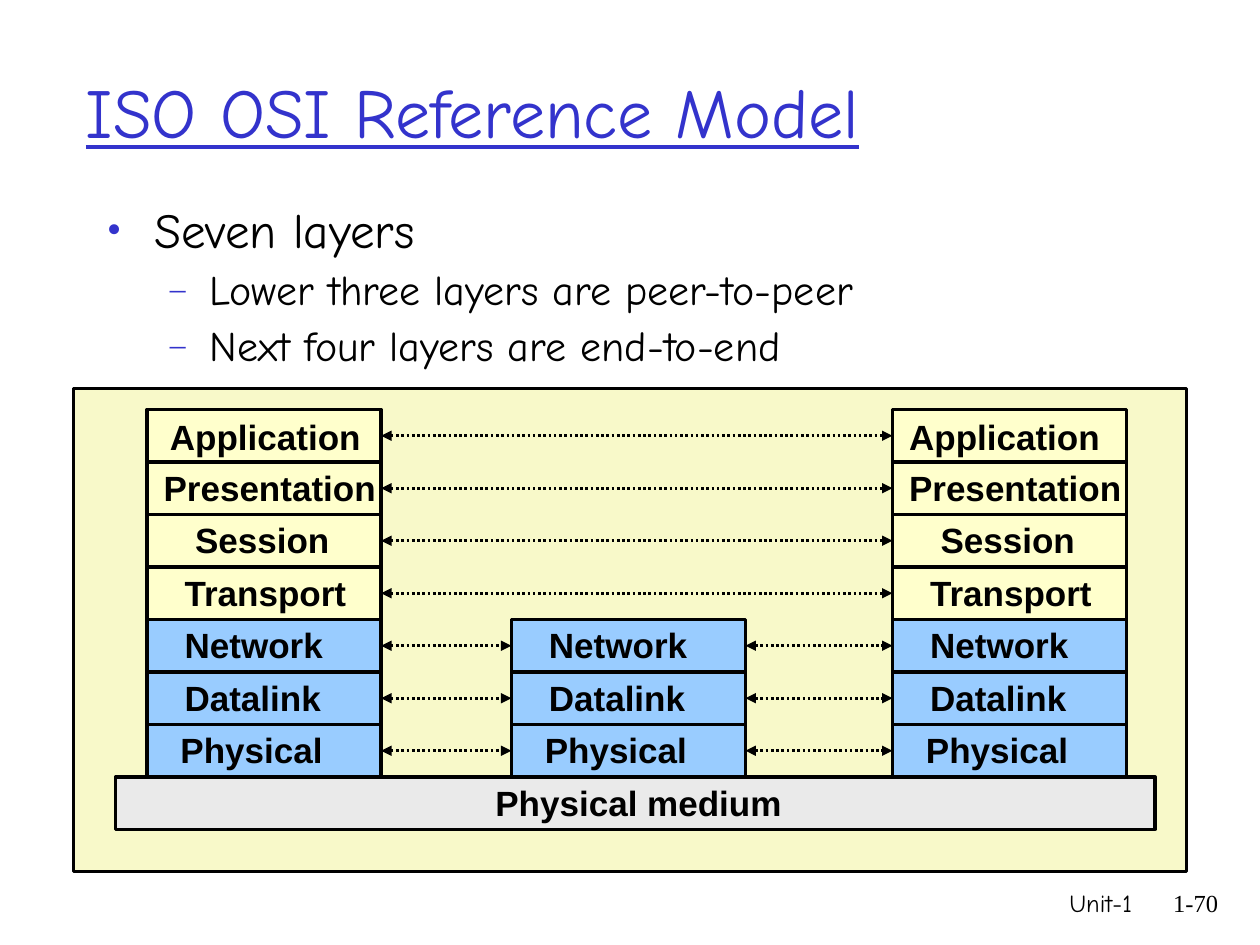
"""Builds a slide on the seven layers of the ISO OSI reference model."""
from dataclasses import dataclass

from lxml.etree import SubElement
from pptx import Presentation
from pptx.dml.color import RGBColor as Rgb
from pptx.enum.dml import MSO_LINE as Dash
from pptx.enum.shapes import MSO_CONNECTOR as Connector, MSO_SHAPE as Shape
from pptx.enum.text import MSO_ANCHOR as Anchor, MSO_AUTO_SIZE as Fit, PP_ALIGN as Align
from pptx.oxml.ns import qn
from pptx.util import Pt


@dataclass(frozen=True)
class Theme:
    ink: str = "000000"
    accent: str = "3333CC"
    panel: str = "F8F9C9"
    upper: str = "FFFFCC"
    lower: str = "99CCFF"
    medium: str = "EAEAEA"
    hand: str = "Comic Neue"
    sans: str = "Arial"
    serif: str = "Times New Roman"
    title: int = 40
    point: int = 28
    subpoint: int = 24
    label: int = 20
    footer: int = 14


theme = Theme()
PX = 7620
SIDE_LEFT, SIDE_RIGHT = 1, 3

prs = Presentation()
prs.slide_width, prs.slide_height = 1200 * PX, 900 * PX
slide = prs.slides.add_slide(prs.slide_layouts[6])
shapes = slide.shapes


def add_block(left, top, width, height, color):
    block = shapes.add_shape(Shape.RECTANGLE, left * PX, top * PX, width * PX, height * PX)
    block.shadow.inherit = False
    block.fill.solid()
    block.fill.fore_color.rgb = Rgb.from_string(color)
    block.line.color.rgb = Rgb.from_string(theme.ink)
    block.line.width = Pt(2)
    return block


def add_text(text, left, top, width, height, font, size, color=theme.ink, wrap=True):
    box = shapes.add_textbox(left * PX, top * PX, width * PX, height * PX)
    frame = box.text_frame
    frame.text = text
    frame.word_wrap = wrap
    frame.auto_size = Fit.NONE if wrap else Fit.SHAPE_TO_FIT_TEXT
    for paragraph in frame.paragraphs:
        for run in paragraph.runs:
            run.font.name = font
            run.font.size = Pt(size)
            run.font.bold = font == theme.sans
            run.font.color.rgb = Rgb.from_string(color)
    return frame


add_block(70, 370, 1060, 460, theme.panel)

title = add_text("ISO OSI Reference Model", 70, 30, 1020, 150, theme.hand, theme.title, theme.accent)
title.vertical_anchor = Anchor.MIDDLE
title.paragraphs[0].runs[0].font.underline = True

points = [
    ("Seven layers", 0, "•", 85, 45, 45, theme.point),
    ("Lower three layers are peer-to-peer", 1, "–", 75, 98, 38, theme.subpoint),
    ("Next four layers are end-to-end", 1, "–", 75, 98, 38, theme.subpoint),
]
outline = add_text("\n".join(point[0] for point in points), 90, 190, 1020, 190, theme.hand, theme.point)
for paragraph, (_, level, mark, percent, indent, hang, size) in zip(outline.paragraphs, points):
    props = paragraph._p.get_or_add_pPr()
    props.set("marL", str(indent * PX))
    props.set("indent", str(-hang * PX))
    mark_color = SubElement(props, qn("a:buClr"))
    SubElement(mark_color, qn("a:srgbClr"), val=theme.accent)
    SubElement(props, qn("a:buSzPct"), val=str(percent * 1000))
    SubElement(props, qn("a:buFont"), typeface=theme.serif)
    SubElement(props, qn("a:buChar"), char=mark)
    paragraph.level = level
    paragraph.line_spacing = 0.9
    paragraph.space_before = Pt(6 * level)
    paragraph.runs[0].font.size = Pt(size)

for footer, left, width, font in [("Unit-1", 710, 380, theme.hand), ("1-70", 1090, 82, theme.serif)]:
    add_text(footer, left, 840, width, 60, font, theme.footer).paragraphs[0].alignment = Align.RIGHT

layers = [
    ("Application", (10, 10, 4), 210, theme.upper),
    ("Presentation", (4, 4, 4), 230, theme.upper),
    ("Session", (34, 34, 34), 156, theme.upper),
    ("Transport", (24, 24, 24), 184, theme.upper),
    ("Network", (24, 24, 24), 160, theme.lower),
    ("Datalink", (24, 24, 24), 158, theme.lower),
    ("Physical", (20, 20, 20), 164, theme.lower),
]
towers = [(140, 0), (487, 4), (850, 0)]
TOWER_TOP, TOWER_WIDTH, LAYER_HEIGHT = 390, 223, 50

peers = []
for index, (layer, insets, label_width, color) in enumerate(layers):
    top = TOWER_TOP + index * LAYER_HEIGHT
    row = []
    for (left, first_layer), inset in zip(towers, insets):
        if index >= first_layer:
            row.append(add_block(left, top, TOWER_WIDTH, LAYER_HEIGHT, color))
            label_top = top - 2 if index else top
            add_text(layer, left + inset, label_top, label_width, 53, theme.sans, theme.label, wrap=False)
    peers += zip(row, row[1:])

medium_top = TOWER_TOP + len(layers) * LAYER_HEIGHT
add_block(110, medium_top, 990, LAYER_HEIGHT, theme.medium)
add_text("Physical medium", 460, medium_top - 2, 302, 53, theme.sans, theme.label, wrap=False)

for near, far in peers:
    link = shapes.add_connector(Connector.STRAIGHT, 0, 0, 0, 0)
    link.begin_connect(near, SIDE_RIGHT)
    link.end_connect(far, SIDE_LEFT)
    link.line.color.rgb = Rgb.from_string(theme.ink)
    link.line.width = Pt(1.5)
    link.line.dash_style = Dash.ROUND_DOT
    stroke = link.line._get_or_add_ln()
    for end in ("a:headEnd", "a:tailEnd"):
        SubElement(stroke, qn(end), type="triangle")
    SubElement(link._element.spPr, qn("a:effectLst"))

prs.save("out.pptx")
